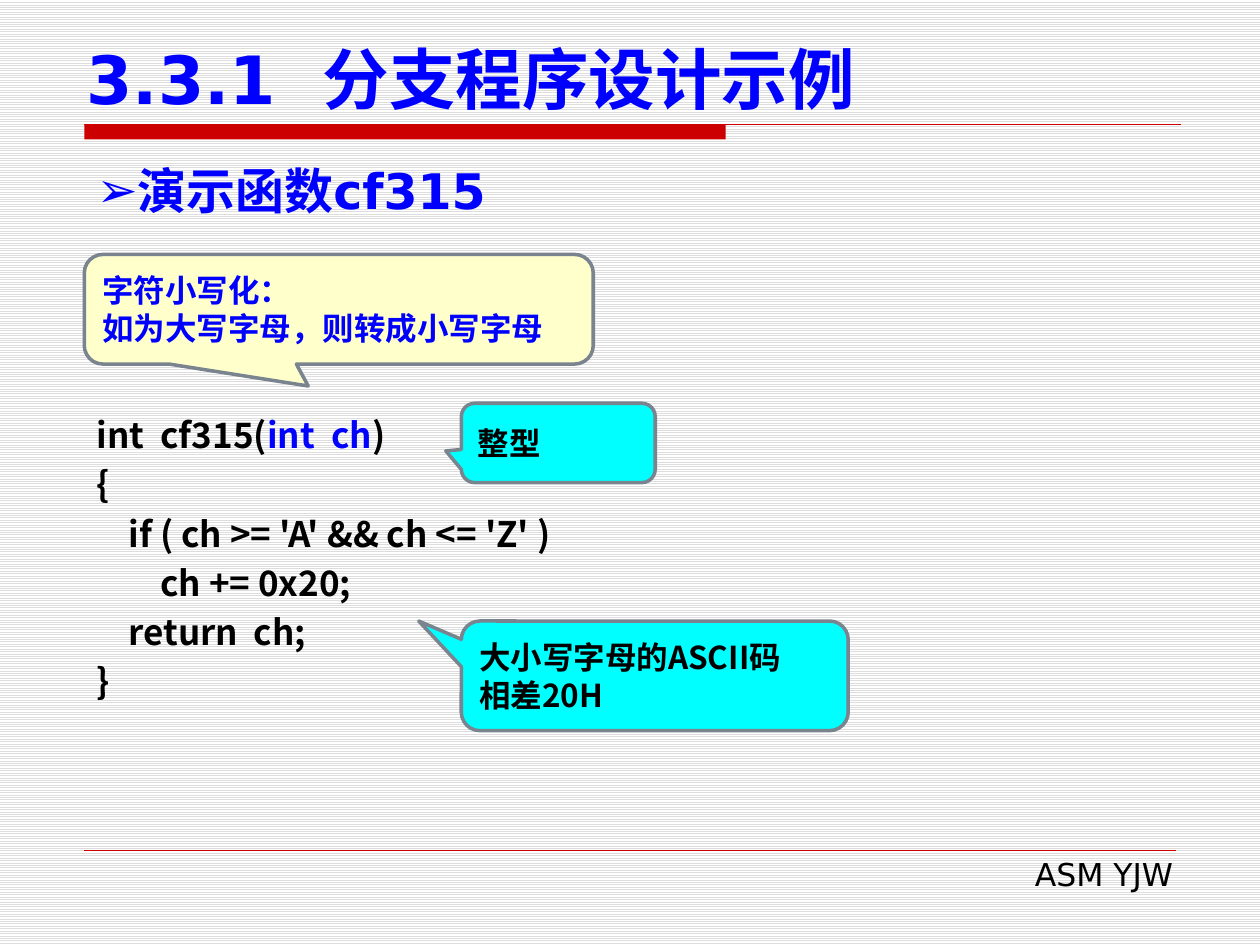
"""Build a slide on branching programs, with a C function and three callouts."""
from lxml.etree import SubElement
from pptx import Presentation
from pptx.dml.color import RGBColor
from pptx.enum.dml import MSO_PATTERN
from pptx.enum.shapes import MSO_CONNECTOR, MSO_SHAPE
from pptx.enum.text import MSO_ANCHOR as Anchor, PP_ALIGN as Align
from pptx.oxml.ns import qn
from pptx.util import Cm, Pt

LATIN, HAN = "DejaVu Sans", "Noto Sans CJK SC"
BLACK, BLUE, RED, GREY = "000000", "0000FF", "CC0000", "79848F"
CYAN, CREAM = "00FFFF", "FFFFCC"
INDENT = 0.64

TITLE = dict(size=Pt(38), name=LATIN, bold=True)
HEADING = dict(size=Pt(28), name=LATIN, bold=True)
FOOTER = dict(size=Pt(18), name=LATIN, bold=False)
CODE = dict(size=Pt(20), name=HAN, bold=True)
NOTE = dict(size=Pt(18), name=HAN, bold=True)

CODE_LINES = [
    (0, [("int  cf315(", BLACK), ("int  ch", BLUE), (")", BLACK)]),
    (0, [("{", BLACK)]),
    (1, [("if ( ch >= 'A' && ch <= 'Z' )", BLACK)]),
    (2, [("ch += 0x20;", BLACK)]),
    (1, [("return  ch;", BLACK)]),
    (0, [("}", BLACK)]),
]

CALLOUTS = [
    ((9.3, 12.52, 7.8, 2.21), (-0.61, -0.5, 0.17), CYAN, BLACK,
     ["大小写字母的ASCII码", "相差20H"]),
    ((1.7, 5.13, 10.26, 2.21), (-0.06, 0.7, 0.17), CREAM, BLUE,
     ["字符小写化：", "如为大写字母，则转成小写字母"]),
    ((9.3, 8.13, 3.91, 1.6), (-0.58, 0.1, 0.17), CYAN, BLACK, ["整型"]),
]

RULES = [((1.7, 2.51), (23.8, 2.51), 0.75), ((1.7, 17.14), (23.7, 17.14), 0.25)]


def color(value):
    return RGBColor.from_string(value)


def lengths(values):
    return [Cm(value) for value in values]


def apply(target, values):
    for key, value in values.items():
        setattr(target, key, value)


def write(box, lines, font, anchor=Anchor.TOP, **layout):
    frame = box.text_frame
    apply(frame, dict(word_wrap=True, vertical_anchor=anchor))
    for index, (level, spans) in enumerate(lines):
        para = frame.add_paragraph() if index else frame.paragraphs[0]
        apply(para, dict(alignment=Align.LEFT) | layout)
        if level:
            para._p.get_or_add_pPr().set("marL", str(Cm(level * INDENT)))
        for text, ink in spans:
            span = para.add_run()
            span.text = text
            apply(span.font, font)
            span.font.color.rgb = color(ink)
            SubElement(span._r.get_or_add_rPr(), qn("a:ea"), typeface=HAN)


def add_text(page, place, lines, font, **layout):
    box = page.shapes.add_textbox(*lengths(place))
    write(box, lines, font, **layout)
    return box


def add_bullet(para, symbol):
    props = para._p.get_or_add_pPr()
    SubElement(props, qn("a:buFont"), typeface=LATIN)
    SubElement(props, qn("a:buChar"), char=symbol)


def add_filled(page, preset, place, fill):
    shape = page.shapes.add_shape(preset, *lengths(place))
    shape.shadow.inherit = False
    shape.fill.solid()
    shape.fill.fore_color.rgb = color(fill)
    return shape


def add_rule(page, start, end, width):
    rule = page.shapes.add_connector(MSO_CONNECTOR.STRAIGHT, *lengths(start + end))
    rule.line.color.rgb = color(RED)
    rule.line.width = Pt(width)
    SubElement(rule._element.spPr, qn("a:effectLst"))


def add_callout(page, place, pointer, fill, ink, lines):
    callout = add_filled(page, MSO_SHAPE.ROUNDED_RECTANGULAR_CALLOUT, place, fill)
    callout.line.color.rgb = color(GREY)
    callout.line.width = Pt(2)
    for index, value in enumerate(pointer):
        callout.adjustments[index] = value
    write(callout, [(0, [(text, ink)]) for text in lines], NOTE, Anchor.MIDDLE)


def main():
    deck = Presentation()
    apply(deck, dict(slide_width=Cm(25.4), slide_height=Cm(19.05)))
    page = deck.slides.add_slide(deck.slide_layouts[6])
    backdrop = page.background.fill
    backdrop.patterned()
    backdrop.pattern = MSO_PATTERN.LIGHT_HORIZONTAL
    backdrop.fore_color.rgb = color("DDDDDD")
    backdrop.back_color.rgb = color("FFFFFF")

    band = add_filled(page, MSO_SHAPE.RECTANGLE, (1.7, 2.51, 12.93, 0.3), RED)
    band.line.fill.background()
    for rule in RULES:
        add_rule(page, *rule)

    add_text(page, (9.7, 17.12, 14.2, 1.02), [(0, [("ASM YJW", BLACK)])],
             FOOTER, alignment=Align.RIGHT)
    add_text(page, (1.5, 0.71, 23.01, 1.8), [(0, [("3.3.1  分支程序设计示例", BLUE)])],
             TITLE, anchor=Anchor.BOTTOM)
    heading = add_text(page, (1.7, 3.12, 22, 1.45), [(0, [("演示函数cf315", BLUE)])],
                       HEADING, alignment=Align.JUSTIFY)
    add_bullet(heading.text_frame.paragraphs[0], "➢")
    add_text(page, (1.7, 8.08, 23.7, 6.25), CODE_LINES, CODE, line_spacing=Pt(28))
    for callout in CALLOUTS:
        add_callout(page, *callout)
    deck.save("out.pptx")


if __name__ == "__main__":
    main()
